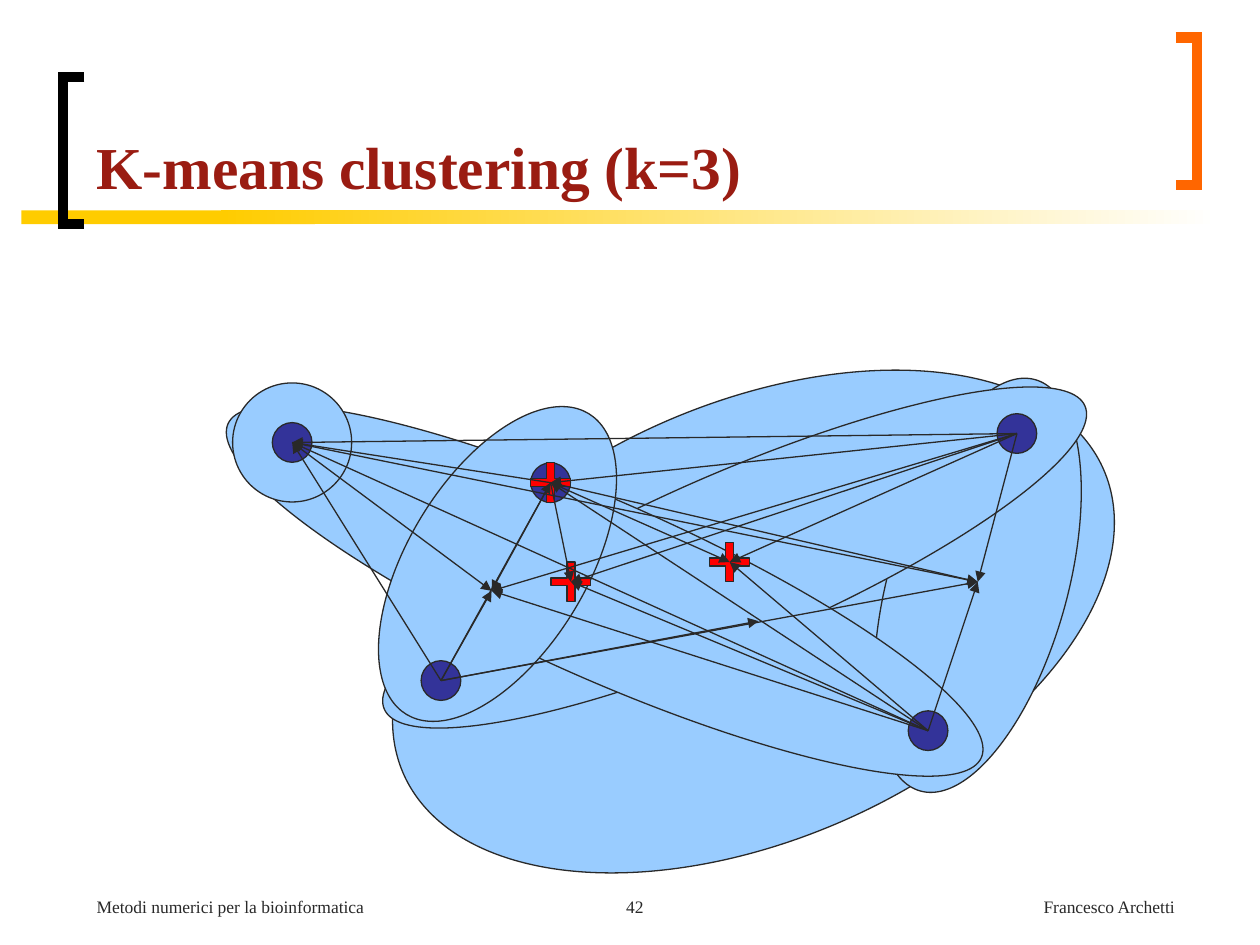
from lxml import etree
from pptx import Presentation
from pptx import util as u
from pptx.dml.color import RGBColor
from pptx.enum import shapes, text
from pptx.oxml.ns import qn

COLORS = {"ink": "292929", "title": "9A1C12", "cluster": "99CCFF", "point": "333399",
          "centroid": "FF0000", "gold": "FFCC00", "orange": "FF6600", "black": "000000",
          "white": "FFFFFF"}
FONT = "Times New Roman"
POINTS = {"left": (2.39, 1.92), "upper": (7.6, 2.73), "lower": (5.39, 6.72),
          "right": (17, 1.74), "bottom": (15.21, 7.73)}
CENTROIDS = {"near": (8.01, 4.73), "middle": (11.21, 4.33), "start": POINTS["upper"]}
MEANS = {"west": (6.41, 4.91), "east": (16.21, 4.73), "inner": (11.79, 5.52)}
BACK_CLUSTERS = [((11.69, 5.53), (15.39, 8.81), 336.6), ((16.21, 4.8), (3.61, 8.61), 15.6),
                 ((11.31, 4.24), (15.39, 3.43), 336.6), ((8.69, 4.91), (16.61, 3.56), 23.9),
                 (POINTS["upper"], (2.4, 2.4), 0), (POINTS["left"], (2.4, 2.4), 0)]
FRONT_CLUSTER = ((6.53, 4.37), (3.61, 7.09), 31.2)
ARROWS = [("upper", "middle near"), ("right", "upper near middle"),
          ("bottom", "upper middle near"), ("lower", "inner upper left"),
          ("left", "west east"), ("upper", "left west east"), ("right", "left west east"),
          ("bottom", "east west left"), ("lower", "west east")]


def color(name):
    """Return the named colour."""
    return RGBColor.from_string(COLORS[name])


def add_figure(page, box, kind, center, size, fill, angle=0):
    """Add an outlined shape centred at a point of the box."""
    left, top = (box[i] + center[i] - size[i] / 2 for i in (0, 1))
    figure = page.shapes.add_shape(kind, u.Cm(left), u.Cm(top), u.Cm(size[0]), u.Cm(size[1]))
    figure.rotation = angle
    figure.shadow.inherit = False
    figure.fill.solid()
    figure.fill.fore_color.rgb = color(fill)
    figure.line.color.rgb = color("ink")
    figure.line.width = u.Pt(0.75)
    return figure


def add_arrow(page, box, start, end):
    """Draw an arrow between two points of the box."""
    ends = [u.Cm(box[i] + point[i]) for point in (start, end) for i in (0, 1)]
    arrow = page.shapes.add_connector(shapes.MSO_CONNECTOR.STRAIGHT, *ends)
    arrow.line.color.rgb = color("ink")
    arrow.line.width = u.Pt(0.75)
    etree.SubElement(arrow.line._get_or_add_ln(), qn("a:tailEnd"), type="triangle")
    etree.SubElement(arrow._element.spPr, qn("a:effectLst"))


def add_label(page, box, words, size, name, align=text.PP_ALIGN.LEFT, bold=False):
    """Add a bottom-anchored line of text."""
    label = page.shapes.add_textbox(*(u.Cm(length) for length in box))
    frame = label.text_frame
    frame.word_wrap = True
    frame.vertical_anchor = text.MSO_ANCHOR.BOTTOM
    frame.text = words
    para = frame.paragraphs[0]
    para.alignment = align
    font = para.runs[0].font
    font.name, font.size, font.bold = FONT, u.Pt(size), bold
    font.color.rgb = color(name)


def add_bracket(page, box, name, opens_left):
    """Draw a square bracket filling the box."""
    left, top, width, height = box
    tip, spine = (left, left + width) if opens_left else (left + width, left)
    corners = [(tip, top), (spine, top), (spine, top + height), (tip, top + height)]
    first, *rest = [(u.Cm(x), u.Cm(y)) for x, y in corners]
    builder = page.shapes.build_freeform(*first)
    builder.add_line_segments(rest, close=False)
    bracket = builder.convert_to_shape()
    bracket.shadow.inherit = False
    bracket.fill.background()
    bracket.line.color.rgb = color(name)
    bracket.line.width = u.Pt(6)
    etree.SubElement(bracket.line._get_or_add_ln(), qn("a:miter"), lim="800000")


def add_rule(page, box):
    """Draw the gold rule that fades to white after a solid start."""
    left, top, width, height = box
    fade = 4.02
    for start, length in ((0, 5.92), (fade, width - fade)):
        band = page.shapes.add_shape(shapes.MSO_SHAPE.RECTANGLE, u.Cm(left + start), u.Cm(top),
                                     u.Cm(length), u.Cm(height))
        band.shadow.inherit = False
        band.line.fill.background()
        if start:
            band.fill.gradient()
            band.fill.gradient_angle = 0
            for stop, name, place in zip(band.fill.gradient_stops, ("gold", "white"), (0, 1)):
                stop.color.rgb = color(name)
                stop.position = place
        else:
            band.fill.solid()
            band.fill.fore_color.rgb = color("gold")


def add_header(page, box):
    """Place the brackets, rule and title in the header box."""
    left, top, width, height = box
    add_bracket(page, (left + width - 0.43, top, 0.43, 2.97), "orange", True)
    add_rule(page, (left - 0.84, top + 3.48, 24.13, 0.28))
    add_bracket(page, (left, top + height - 2.97, 0.43, 2.97), "black", False)
    add_label(page, (left + 0.43, top + 0.51, 21.16, 2.92), "K-means clustering (k=3)",
              34, "title", bold=True)


def add_diagram(page, box):
    """Place clusters, points, centroids and distance arrows in the box."""
    oval, plus = shapes.MSO_SHAPE.OVAL, shapes.MSO_SHAPE.CROSS
    mark = (0.8, 0.8)
    for center, size, angle in BACK_CLUSTERS:
        add_figure(page, box, oval, center, size, "cluster", angle)
    add_figure(page, box, oval, POINTS["left"], mark, "point")
    center, size, angle = FRONT_CLUSTER
    add_figure(page, box, oval, center, size, "cluster", angle)
    for name in ("upper", "lower", "right", "bottom"):
        add_figure(page, box, oval, POINTS[name], mark, "point")
    for center in CENTROIDS.values():
        cross = add_figure(page, box, plus, center, mark, "centroid")
        cross.adjustments[0] = 0.4
    places = {**CENTROIDS, **MEANS, **POINTS}
    for start, ends in ARROWS:
        for end in ends.split():
            add_arrow(page, box, places[start], places[end])


def add_footer(page, box):
    """Place course, page number and author along the footer box."""
    left, top, width, height = box
    add_label(page, (left + 8.46, top, 5.28, height), "42", 10, "ink", text.PP_ALIGN.CENTER)
    add_label(page, (left, top, 6.99, height), "Metodi numerici per la bioinformatica", 10, "ink")
    add_label(page, (left + width - 8.05, top, 8.05, height), "Francesco Archetti", 10, "ink",
              text.PP_ALIGN.RIGHT)


def main():
    """Build and save the slide."""
    deck = Presentation()
    deck.slide_width, deck.slide_height = u.Cm(25.4), u.Cm(19.05)
    page = deck.slides.add_slide(deck.slide_layouts[6])
    add_header(page, (1.27, 0.76, 22.86, 3.76))
    add_diagram(page, (3.5, 7))
    add_footer(page, (1.7, 17.35, 22.23, 1.27))
    deck.save("out.pptx")


if __name__ == "__main__":
    main()
